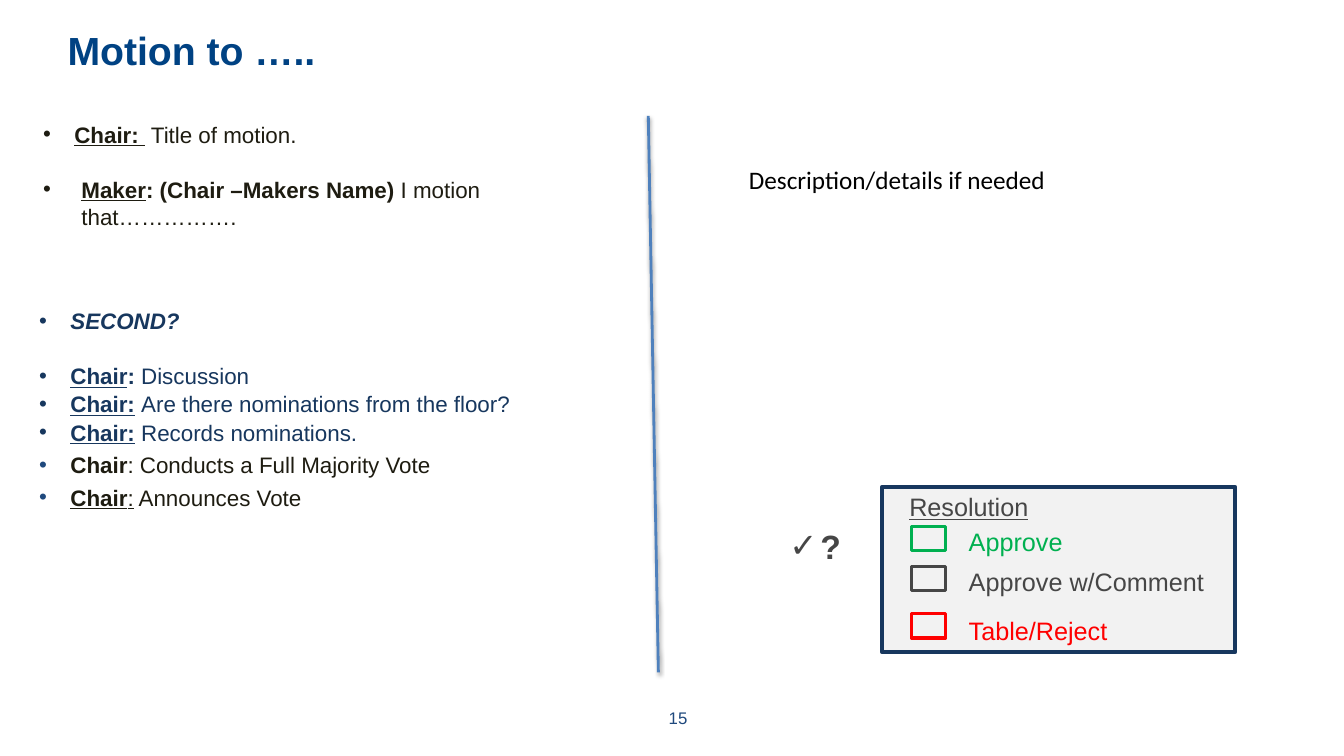
from lxml import etree
from pptx import Presentation
from pptx.dml.color import RGBColor
from pptx.enum.shapes import MSO_CONNECTOR, MSO_SHAPE
from pptx.enum.text import MSO_ANCHOR, MSO_AUTO_SIZE, PP_ALIGN
from pptx.oxml import parse_xml
from pptx.oxml.ns import nsdecls, qn
from pptx.util import Pt

PX = 9144  # EMU; 100 px to the inch
RECTANGLE = MSO_SHAPE.RECTANGLE
STRAIGHT = MSO_CONNECTOR.STRAIGHT
TOP = MSO_ANCHOR.TOP
NO_AUTOFIT = MSO_AUTO_SIZE.NONE
LEFT, CENTER = PP_ALIGN.LEFT, PP_ALIGN.CENTER

TITLE_BLUE = RGBColor(0x00, 0x42, 0x83)
NAVY = RGBColor(0x17, 0x37, 0x5E)
SLATE = RGBColor(0x1F, 0x49, 0x7D)
DIVIDER_BLUE = RGBColor(0x4F, 0x81, 0xBD)
INK = RGBColor(0x1E, 0x1C, 0x11)
GRAY = RGBColor(0x46, 0x46, 0x46)
PANEL = RGBColor(0xF2, 0xF2, 0xF2)
GREEN = RGBColor(0x00, 0xB0, 0x50)
RED = RGBColor(0xFF, 0x00, 0x00)
BLACK = RGBColor(0x00, 0x00, 0x00)

# Each paragraph: indent px, space before pt, text colour, bullet colour, runs (text, styles)
OPENING = [
    (31, 1, INK, INK, [("Chair: ", "bu"), (" Title of motion.", "")]),
    (38, 20, INK, INK, [("Maker", "bu"), (": (Chair –Makers Name) ", "b"),
                        ("I motion that…………….", "")]),
]
PROCEDURE = [
    (31, 1, NAVY, NAVY, [("SECOND?", "bi")]),
    (31, 20, NAVY, NAVY, [("Chair", "bu"), (": ", "b"), ("Discussion", "")]),
    (31, 1, NAVY, NAVY, [("Chair:", "bu"), (" ", "b"),
                         ("Are there nominations from the floor?", "")]),
    (31, 1, NAVY, NAVY, [("Chair:", "bu"), (" ", "b"), ("Records nominations.", "")]),
    (31, 4, INK, SLATE, [("Chair", "b"), (": Conducts a Full Majority Vote", "")]),
    (31, 4, INK, SLATE, [("Chair", "bu"), (":", "u"), (" Announces Vote", "")]),
]
# Each choice: label, colour, top of check box, top of label
CHOICES = [
    ("Approve", GREEN, 39, 34),
    ("Approve w/Comment", GRAY, 79, 74),
    ("Table/Reject", RED, 126, 123),
]


def px(*lengths):
    return [length * PX for length in lengths]


def format_run(run, size, color, styles="", font="Arial"):
    """Styles is any mix of the letters b, i and u."""
    run.font.name = font
    run.font.size = Pt(size)
    run.font.color.rgb = color
    run.font.bold = "b" in styles
    run.font.italic = "i" in styles
    run.font.underline = "u" in styles


def add_text_frame(shapes, box):
    frame = shapes.add_textbox(*px(*box)).text_frame
    frame.word_wrap = True
    return frame


def add_label(shapes, box, text, size, color, styles="", font="Arial", align=LEFT):
    paragraph = add_text_frame(shapes, box).paragraphs[0]
    paragraph.text = text
    paragraph.alignment = align
    format_run(paragraph.runs[0], size, color, styles, font)
    return paragraph


def set_bullet(paragraph, symbol, indent, color):
    properties = paragraph._p.get_or_add_pPr()
    properties.set("marL", str(indent * PX))
    properties.set("indent", str(-indent * PX))
    bullet_color = etree.SubElement(properties, qn("a:buClr"))
    etree.SubElement(bullet_color, qn("a:srgbClr"), val=str(color))
    etree.SubElement(properties, qn("a:buFont"), typeface="Arial")
    etree.SubElement(properties, qn("a:buChar"), char=symbol)


def add_title(slide, box):
    title = slide.shapes.title
    title.left, title.top, title.width, title.height = px(*box)
    frame = title.text_frame
    frame.text = "Motion to ….."
    frame.auto_size = NO_AUTOFIT
    frame.vertical_anchor = TOP
    frame.margin_left = frame.margin_top = frame.margin_right = frame.margin_bottom = 0
    frame.paragraphs[0].alignment = LEFT
    format_run(frame.paragraphs[0].runs[0], 28, TITLE_BLUE, "b")


def add_script_lines(slide, box, lines):
    frame = add_text_frame(slide.shapes, box)
    for number, (indent, space, color, bullet_color, runs) in enumerate(lines):
        paragraph = frame.add_paragraph() if number else frame.paragraphs[0]
        paragraph.space_before = Pt(space)
        set_bullet(paragraph, "•", indent, bullet_color)
        for text, styles in runs:
            run = paragraph.add_run()
            run.text = text
            format_run(run, 16, color, styles)


def add_divider(slide, start, end):
    divider = slide.shapes.add_connector(STRAIGHT, *px(*start, *end))
    divider.line.color.rgb = DIVIDER_BLUE
    divider.line.width = Pt(2)
    divider._element.spPr.append(parse_xml(
        f'<a:effectLst {nsdecls("a")}>'
        '<a:outerShdw blurRad="39370" dist="20320" dir="5400000" rotWithShape="0">'
        '<a:srgbClr val="000000"><a:alpha val="38000"/></a:srgbClr>'
        '</a:outerShdw></a:effectLst>'))


def add_frame(shapes, box, line_color, line_width, fill=None):
    shape = shapes.add_shape(RECTANGLE, *px(*box))
    shape.shadow.inherit = False
    if fill is None:
        shape.fill.background()
    else:
        shape.fill.solid()
        shape.fill.fore_color.rgb = fill
    shape.line.color.rgb = line_color
    shape.line.width = Pt(line_width)


def add_resolution(slide, box):
    left, top, width, height = box
    shapes = slide.shapes.add_group_shape().shapes
    add_frame(shapes, box, NAVY, 3, PANEL)
    add_label(shapes, (left + 17, top, 160, 40), "Resolution", 18, GRAY, "u")
    for label, color, check_top, label_top in CHOICES:
        add_frame(shapes, (left + 29, top + check_top, 34, 24), color, 2.25)
        add_label(shapes, (left + 76, top + label_top, width - 80, 40), label, 18, color)


def main():
    presentation = Presentation()
    presentation.slide_width, presentation.slide_height = px(1333, 750)
    slide = presentation.slides.add_slide(presentation.slide_layouts[5])
    shapes = slide.shapes
    add_title(slide, (67, 26, 1200, 118))
    add_label(shapes, (517, 697, 311, 40), "15", 12, SLATE, align=CENTER)
    add_script_lines(slide, (33, 115, 583, 118), OPENING)
    add_divider(slide, (643, 115), (653, 667))
    add_script_lines(slide, (29, 300, 555, 242), PROCEDURE)
    add_resolution(slide, (875, 483, 350, 164))
    question = add_label(shapes, (773, 517, 70, 50), "?", 24, GRAY, "b")
    set_bullet(question, "✓", 31, GRAY)
    add_label(shapes, (733, 158, 337, 40), "Description/details if needed", 18, BLACK,
              font="Calibri")
    presentation.save("out.pptx")


if __name__ == "__main__":
    main()
